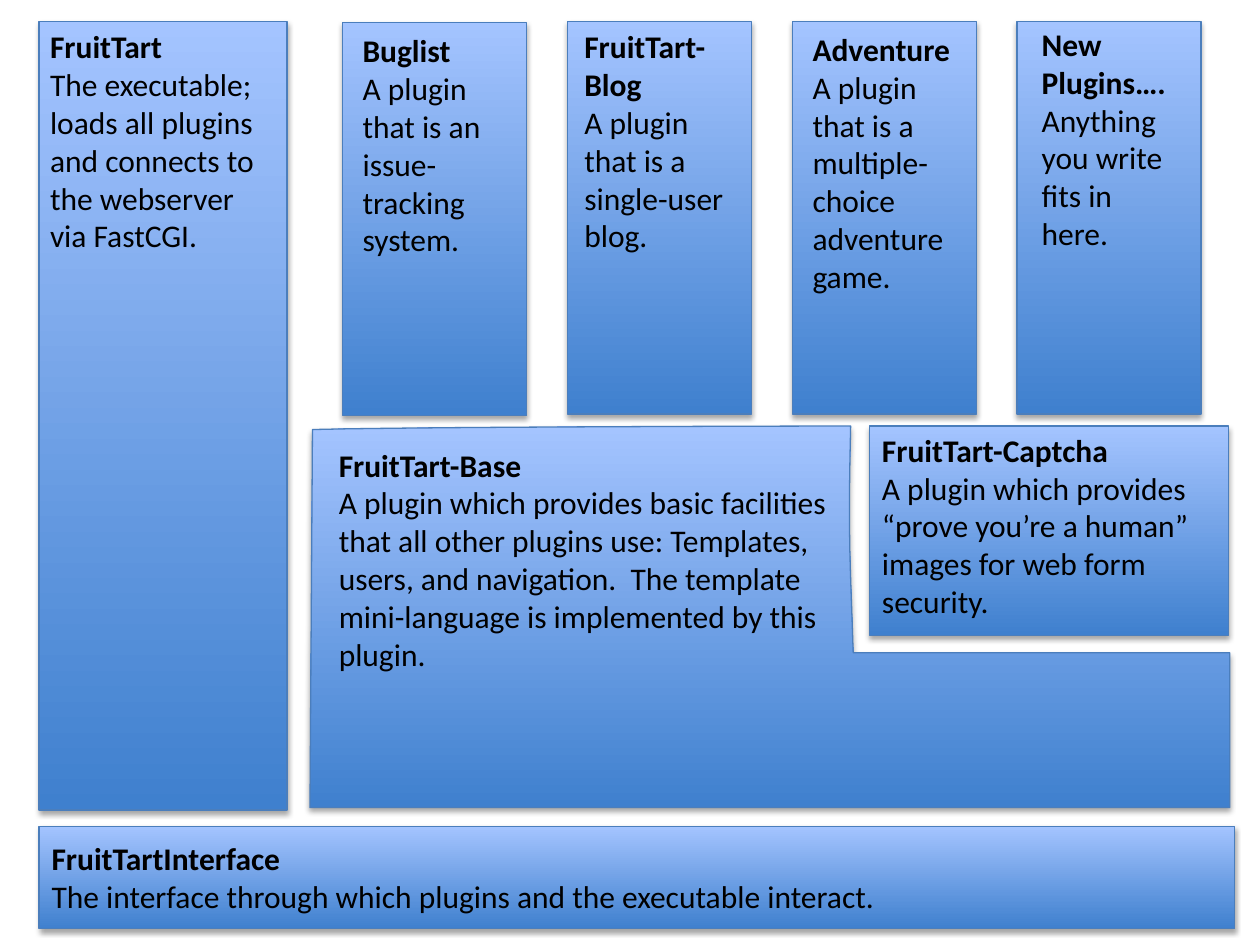
from lxml.etree import SubElement
from pptx import Presentation
from pptx.dml.color import RGBColor
from pptx.enum.shapes import MSO_SHAPE
from pptx.enum.text import MSO_AUTO_SIZE
from pptx.oxml.ns import qn
from pptx.util import Cm, Pt

DARK = RGBColor(0x3F, 0x80, 0xCE)
LIGHT = RGBColor(0xA4, 0xC4, 0xFF)
EDGE = RGBColor(0x4B, 0x7E, 0xBC)
BLACK = RGBColor(0, 0, 0)

PLUGINS = [
    ("Buglist", "A plugin that is an issue-tracking system.",
     0.46, (7.06, 0.51, 3.05, 4.88)),
    ("FruitTart-Blog", "A plugin that is a single-user blog.",
     0.43, (11.53, 0.43, 3.35, 4.88)),
    ("Adventure", "A plugin that is a multiple-choice adventure game.",
     0.43, (16.13, 0.48, 3.3, 5.64)),
    ("New Plugins….", "Anything you write fits in here.",
     0.43, (20.75, 0.38, 3.12, 4.88)),
]


def add_shade(shape):
    """Add a soft shadow below the shape."""
    shape.shadow.inherit = False
    effects = shape._element.spPr.find(qn("a:effectLst"))
    shade = SubElement(effects, qn("a:outerShdw"), blurRad=str(Pt(3.1)),
                       dist=str(Pt(1.8)), dir="5400000", rotWithShape="0")
    tint = SubElement(shade, qn("a:srgbClr"), val=str(BLACK))
    SubElement(tint, qn("a:alpha"), val="35000")


def paint(shape):
    """Give the shape its gradient, edge and shadow."""
    shape.fill.gradient()
    shape.fill.gradient_angle = 90
    for stop, color in zip(shape.fill.gradient_stops, (DARK, LIGHT)):
        stop.color.rgb = color
    shape.line.color.rgb = EDGE
    shape.line.width = Pt(0.75)
    add_shade(shape)


def add_label(group, title, body, box):
    """Add a bold title with a plain body below it."""
    frame = group.shapes.add_textbox(*map(Cm, box)).text_frame
    frame.word_wrap = True
    frame.auto_size = MSO_AUTO_SIZE.SHAPE_TO_FIT_TEXT
    lines = (frame.paragraphs[0], frame.add_paragraph())
    for line, text, bold in zip(lines, (title, body), (True, False)):
        run = line.add_run()
        run.text = text
        run.font.name = "Calibri"
        run.font.size = Pt(18)
        run.font.bold = bold
        run.font.color.rgb = BLACK


def add_panel(group, title, body, box, text_box):
    """Add a painted panel and its label."""
    paint(group.shapes.add_shape(MSO_SHAPE.RECTANGLE, *map(Cm, box)))
    add_label(group, title, body, text_box)


def curve(start, pull, push, end, steps=10):
    """Return points on a cubic curve, without its start."""
    points = []
    for step in range(1, steps + 1):
        t = step / steps
        u = 1 - t
        points.append(tuple(
            u**3 * a + 3 * u * u * t * b + 3 * u * t * t * c + t**3 * d
            for a, b, c, d in zip(start, pull, push, end)))
    return points


def add_base(group):
    """Add the stepped base panel and its label."""
    left, peak, notch = (6.3, 8.66), (17.15, 8.59), (17.2, 13.16)
    points = [left,
              *curve(left, (8.2, 8.61), (15.34, 8.59), peak),
              *curve(peak, (17.09, 10.95), (17.15, 11.43), notch),
              (24.79, 13.16), (24.79, 16.28)]
    pen = group.shapes.build_freeform(Cm(6.25), Cm(16.28))
    pen.add_line_segments([(Cm(x), Cm(y)) for x, y in points], close=True)
    paint(pen.convert_to_shape())
    add_label(group, "FruitTart-Base",
              "A plugin which provides basic facilities that all other "
              "plugins use: Templates, users, and navigation.  The template "
              "mini-language is implemented by this plugin.",
              (6.58, 8.86, 10.44, 4.88))


def main():
    """Build the slide and save it."""
    deck = Presentation()
    deck.slide_width, deck.slide_height = Cm(25.4), Cm(19.05)
    shapes = deck.slides.add_slide(deck.slide_layouts[6]).shapes

    add_panel(shapes.add_group_shape(), "FruitTartInterface",
              "The interface through which plugins and the executable "
              "interact.",
              (0.79, 16.66, 24.1, 2.06), (0.79, 16.79, 23.93, 1.8))
    add_panel(shapes.add_group_shape(), "FruitTart",
              "The executable; loads all plugins and connects to the "
              "webserver via FastCGI.",
              (0.79, 0.43, 5, 15.9), (0.76, 0.43, 5, 4.88))

    shared = shapes.add_group_shape()
    add_base(shared)
    add_panel(shared, "FruitTart-Captcha",
              "A plugin which provides “prove you’re a human” images for "
              "web form security.",
              (17.53, 8.59, 7.24, 4.22), (17.53, 8.56, 7.24, 4.11))

    for i, (title, body, top, text_box) in enumerate(PLUGINS):
        add_panel(shapes.add_group_shape(), title, body,
                  (6.91 + 4.53 * i, top, 3.71, 7.92), text_box)

    deck.save("out.pptx")


main()
